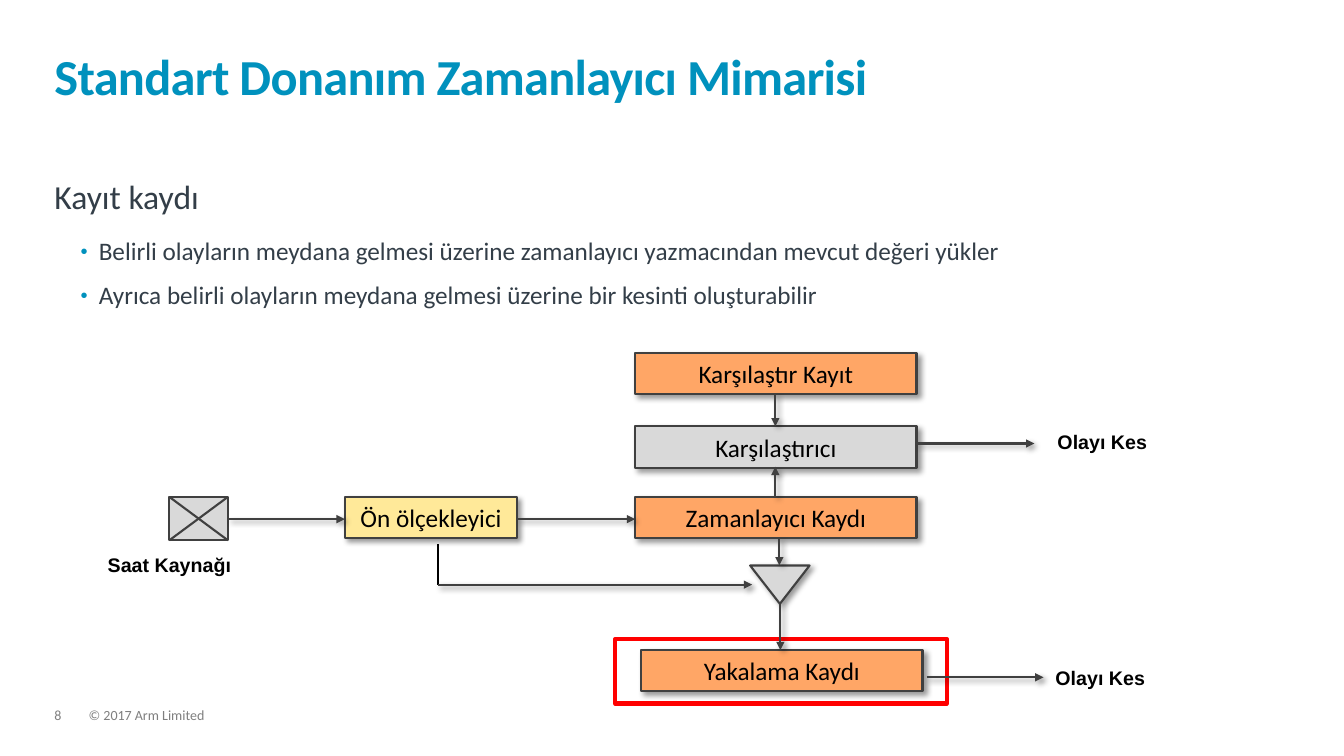
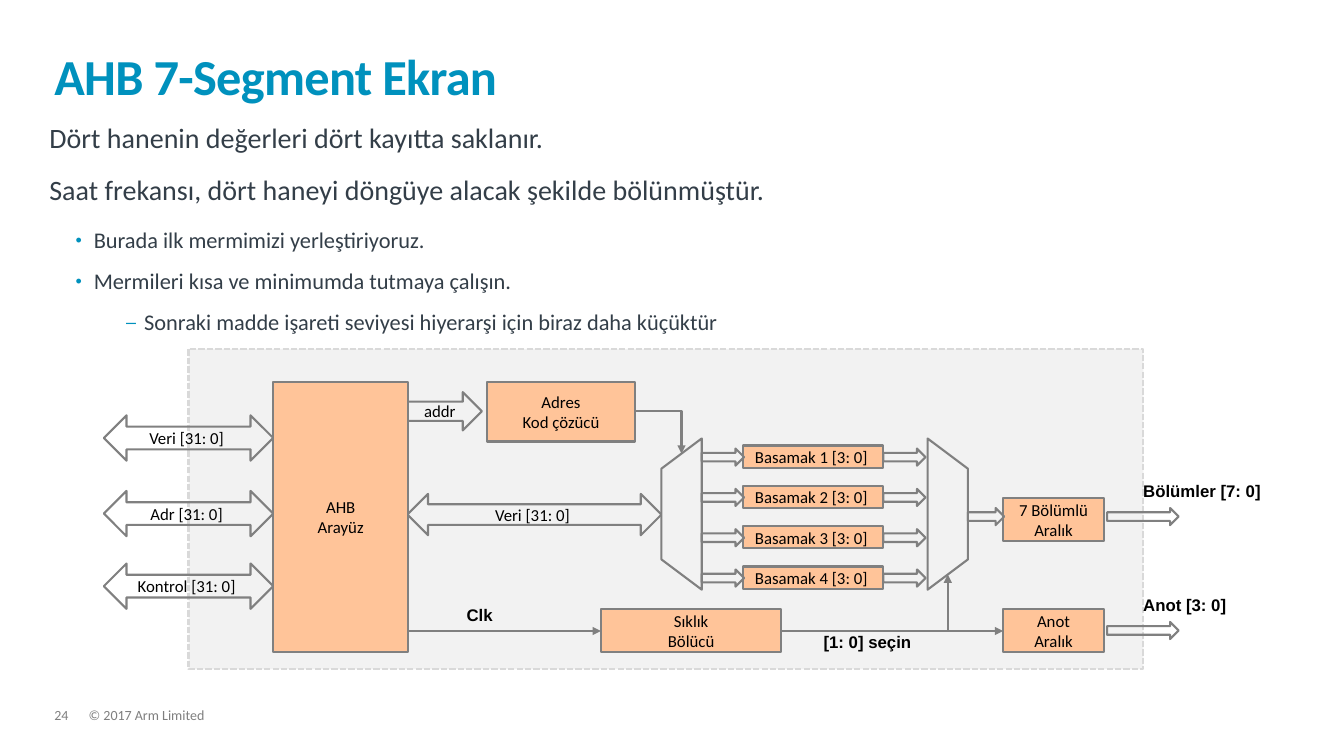
from lxml.etree import SubElement
from pptx import Presentation
from pptx.dml.color import RGBColor
from pptx.enum.dml import MSO_LINE
from pptx.enum.shapes import MSO_CONNECTOR, MSO_SHAPE
from pptx.enum.text import MSO_ANCHOR, PP_ALIGN
from pptx.oxml.ns import qn
from pptx.util import Inches, Pt

WIDTH, HEIGHT = 13.33, 7.5
LEFT, BODY_WIDTH = 0.54, 12.23
BLUE, SLATE, BLACK, FOOTER_GRAY = "0091BD", "333E48", "000000", "7F7F7F"
DARK, GRAY, SILVER, PALE = "404040", "808080", "D9D9D9", "F2F2F2"
ORANGE, YELLOW, PEACH, RED = "FFA666", "FFE999", "FFC499", "FF0000"
COPYRIGHT = "© 2017 Arm Limited"

# Body text: (level, size, text)
TIMER_BODY = [
    (0, 24, "Kayıt kaydı"),
    (1, 18, "Belirli olayların meydana gelmesi üzerine zamanlayıcı yazmacından mevcut değeri yükler"),
    (1, 18, "Ayrıca belirli olayların meydana gelmesi üzerine bir kesinti oluşturabilir"),
]
DISPLAY_BODY = [
    (0, 20, "Dört hanenin değerleri dört kayıtta saklanır."),
    (0, 20, "Saat frekansı, dört haneyi döngüye alacak şekilde bölünmüştür."),
    (1, 16, "Burada ilk mermimizi yerleştiriyoruz."),
    (1, 16, "Mermileri kısa ve minimumda tutmaya çalışın."),
    (2, 16, "Sonraki madde işareti seviyesi hiyerarşi için biraz daha küçüktür"),
]
LEVELS = {0: (None, 0, 16), 1: ("•", 0.44, 12), 2: ("–", 0.94, 12)}  # bullet, indent, space after

# Timer diagram
REGISTER_WIDTH, REGISTER_HEIGHT = 2.79, 0.41
TIMER_BLOCKS = [  # text, left, top, width, fill
    ("Karşılaştır Kayıt", 6.3, 3.5, REGISTER_WIDTH, ORANGE),
    ("Karşılaştırıcı", 6.3, 4.23, REGISTER_WIDTH, SILVER),
    ("Zamanlayıcı Kaydı", 6.3, 4.93, REGISTER_WIDTH, ORANGE),
    ("Ön ölçekleyici", 3.42, 4.93, 1.71, YELLOW),
    ("Yakalama Kaydı", 6.36, 6.45, REGISTER_WIDTH, ORANGE),
]
TIMER_ARROWS = [  # start, end
    ((2.26, 5.15), (3.42, 5.15)),
    ((5.13, 5.15), (6.3, 5.15)),
    ((7.69, 4.93), (7.69, 4.63)),
    ((7.69, 3.91), (7.69, 4.23)),
    ((9.09, 4.4), (10.26, 4.4)),
    ((7.73, 5.34), (7.73, 5.61)),
    ((7.74, 5.99), (7.74, 6.45)),
    ((9.19, 6.72), (10.35, 6.72)),
    ((4.34, 5.8), (7.46, 5.8)),
]
TIMER_LABELS = [  # text, left, top, width
    ("Olayı Kes", 10.39, 4.22, 2.26),
    ("Saat Kaynağı", 0.97, 5.44, 2),
    ("Olayı Kes", 10.37, 6.56, 2.26),
]

# Display diagram
BUS_ARROWS = [  # text, left, top, width, height
    ("Veri [31: 0] ", 1.03, 4.12, 1.68, 0.45),
    ("Adr [31: 0] ", 1.03, 4.87, 1.68, 0.45),
    ("Kontrol [31: 0] ", 1.03, 5.59, 1.68, 0.45),
    ("Veri [31: 0] ", 4.04, 4.9, 2.52, 0.41),
]
DISPLAY_BLOCKS = [  # text, left, top, width, height
    ("AHB\nArayüz", 2.71, 3.79, 1.34, 2.68),
    ("Adres\nKod çözücü", 4.83, 3.79, 1.47, 0.59),
    ("Sıklık\nBölücü", 5.96, 6.04, 1.79, 0.43),
    ("7 Bölümlü\nAralık", 9.95, 4.94, 1, 0.43),
    ("Anot\nAralık", 9.95, 6.04, 1, 0.43),
]
DIGITS, DIGIT_TOP, DIGIT_STEP = 4, 4.42, 0.4
THIN = 0.17
SIGNAL_ARROWS = [(9.6, 5.04, 0.36), (10.98, 5.04, 0.71), (10.98, 6.17, 0.71)]  # left, top, width
MULTIPLEXERS = [(6.01, 90), (8.65, 270)]  # left, rotation
DISPLAY_LABELS = [  # text, left, top, width
    ("Clk", 4.53, 5.95, 1.04),
    ("[1: 0] seçin", 8.07, 6.22, 1.5),
    ("Anot [3: 0]", 11.24, 5.85, 1.5),
    ("Bölümler [7: 0]", 11.24, 4.72, 1.8),
]


def color(value):
    return RGBColor.from_string(value)


def write(para, text, size=12, font="Calibri", ink=BLACK, bold=False, tracking=None,
          align=None, spacing=None, after=None):
    span = para.add_run()
    span.text = text
    span.font.size, span.font.name, span.font.bold = Pt(size), font, bold
    span.font.color.rgb = color(ink)
    if tracking is not None:
        span.font._element.set("spc", str(int(tracking * 100)))
    if align is not None:
        para.alignment = align
    if spacing is not None:
        para.line_spacing = spacing
    if after is not None:
        para.space_after = Pt(after)


def text_box(page, at, inset=True, anchor=MSO_ANCHOR.TOP):
    frame = page.shapes.add_textbox(*map(Inches, at)).text_frame
    frame.word_wrap, frame.vertical_anchor = True, anchor
    if not inset:
        frame.margin_left = frame.margin_right = frame.margin_top = frame.margin_bottom = 0
    return frame


def bullet(para, mark, indent):
    props = para._p.get_or_add_pPr()
    props.set("marL", str(Inches(indent)))
    props.set("indent", str(Inches(-0.18)))
    SubElement(SubElement(props, qn("a:buClr")), qn("a:srgbClr"), val=BLUE)
    SubElement(props, qn("a:buSzPct"), val="80000")
    SubElement(props, qn("a:buFont"), typeface="Arial")
    SubElement(props, qn("a:buChar"), char=mark)


def add_shadow(effects):
    outer = SubElement(effects, qn("a:outerShdw"), blurRad=str(Pt(4)), dist=str(Pt(3)),
                       dir=str(45 * 60000), algn="tl", rotWithShape="0")
    black = SubElement(outer, qn("a:srgbClr"), val=BLACK)
    SubElement(black, qn("a:alpha"), val="40000")


def add_block(page, at, kind=MSO_SHAPE.RECTANGLE, text="", size=12, fill=None, line=GRAY,
              weight=1.5, dash=None, shadow=False, rotation=0):
    block = page.shapes.add_shape(kind, *map(Inches, at))
    block.rotation = rotation
    if fill:
        block.fill.solid()
        block.fill.fore_color.rgb = color(fill)
    else:
        block.fill.background()
    block.line.color.rgb, block.line.width = color(line), Pt(weight)
    if dash:
        block.line.dash_style = dash
    block.shadow.inherit = False
    if shadow:
        add_shadow(block._element.spPr.find(qn("a:effectLst")))
    if text:
        frame = block.text_frame
        frame.word_wrap, frame.vertical_anchor = False, MSO_ANCHOR.MIDDLE
        for index, words in enumerate(text.split("\n")):
            para = frame.add_paragraph() if index else frame.paragraphs[0]
            write(para, words, size=size, align=PP_ALIGN.CENTER)


def add_line(page, start, end, ink=GRAY, arrow=True, shadow=False, bent=False):
    kind = MSO_CONNECTOR.ELBOW if bent else MSO_CONNECTOR.STRAIGHT
    line = page.shapes.add_connector(kind, *map(Inches, start + end))
    line.line.color.rgb, line.line.width = color(ink), Pt(1.5)
    props = line._element.spPr
    if bent:
        props.find(qn("a:prstGeom")).set("prst", "bentConnector2")
    if arrow:
        SubElement(props.find(qn("a:ln")), qn("a:tailEnd"), type="triangle")
    effects = SubElement(props, qn("a:effectLst"))
    if shadow:
        add_shadow(effects)


def add_labels(page, labels, size, height):
    for text, left, top, width in labels:
        frame = text_box(page, (left, top, width, height))
        write(frame.paragraphs[0], text, size=size, font="Arial", bold=True)


def add_page(deck, title, number, body, body_left, body_top):
    """Add a page with its title, body text and footer."""
    page = deck.slides.add_slide(deck.slide_layouts[6])
    for text, left, width in [(COPYRIGHT, 0.88, 9.13), (number, LEFT, 0.34)]:
        frame = text_box(page, (left, 7.03, width, 0.15), inset=False)
        write(frame.paragraphs[0], text, size=10, ink=FOOTER_GRAY, spacing=0.9, after=6)
    frame = text_box(page, (LEFT, 0.32, BODY_WIDTH, 0.73), inset=False, anchor=MSO_ANCHOR.BOTTOM)
    write(frame.paragraphs[0], title, size=36, ink=BLUE, bold=True, tracking=-0.5, spacing=0.85)
    frame = text_box(page, (body_left, body_top, BODY_WIDTH, 4.47), inset=False)
    for index, (level, size, text) in enumerate(body):
        para = frame.add_paragraph() if index else frame.paragraphs[0]
        mark, indent, after = LEVELS[level]
        if mark:
            para.level = level
            bullet(para, mark, indent)
        write(para, text, size=size, ink=SLATE, spacing=0.9, after=after)
    return page


def draw_timer(page):
    left, top, width, height = 1.68, 4.93, 0.58, 0.43
    right, bottom = left + width, top + height
    add_block(page, (left, top, width, height), fill=SILVER, line=DARK)
    add_line(page, (left, top), (right, bottom), ink=DARK, arrow=False)
    add_line(page, (right, top), (left, bottom), ink=DARK, arrow=False)
    add_block(page, (6.1, 6.34, 3.29, 0.64), line=RED, weight=3)
    for text, left, top, width, fill in TIMER_BLOCKS:
        add_block(page, (left, top, width, REGISTER_HEIGHT), text=text, size=18,
                  fill=fill, line=DARK, shadow=True)
    add_block(page, (7.44, 5.61, 0.59, 0.38), MSO_SHAPE.ISOSCELES_TRIANGLE,
              fill=SILVER, line=DARK, shadow=True, rotation=180)
    add_line(page, (4.34, 5.4), (4.34, 5.8), ink=BLACK, arrow=False)
    for start, end in TIMER_ARROWS:
        add_line(page, start, end, ink=DARK, shadow=True)
    add_labels(page, TIMER_LABELS, 14, 0.34)


def draw_display(page):
    add_block(page, (1.87, 3.46, 9.47, 3.18), fill=PALE, line=SILVER, dash=MSO_LINE.SQUARE_DOT)
    for text, *at in BUS_ARROWS:
        add_block(page, at, MSO_SHAPE.LEFT_RIGHT_ARROW, text)
    add_block(page, (4.04, 3.89, 0.74, 0.38), MSO_SHAPE.RIGHT_ARROW, "addr")
    for left, rotation in MULTIPLEXERS:
        add_block(page, (left, 4.9, 1.5, 0.4), MSO_SHAPE.FLOWCHART_MANUAL_OPERATION,
                  fill=PALE, rotation=rotation)
    for digit in range(DIGITS):
        top = DIGIT_TOP + digit * DIGIT_STEP
        add_block(page, (7.37, top, 1.39, 0.22), MSO_SHAPE.FLOWCHART_PROCESS,
                  f"Basamak {digit + 1} [3: 0] ", fill=PEACH)
        for left in (6.96, 8.76):
            add_block(page, (left, top + 0.03, 0.42, THIN), MSO_SHAPE.RIGHT_ARROW)
    add_line(page, (6.3, 4.08), (6.76, 4.5), bent=True)
    add_line(page, (7.75, 6.26), (9.4, 5.7), bent=True)
    add_line(page, (3.98, 6.26), (5.96, 6.26))
    add_line(page, (7.75, 6.26), (9.95, 6.26))
    for text, *at in DISPLAY_BLOCKS:
        add_block(page, at, MSO_SHAPE.FLOWCHART_PROCESS, text, fill=PEACH)
    for left, top, width in SIGNAL_ARROWS:
        add_block(page, (left, top, width, THIN), MSO_SHAPE.RIGHT_ARROW)
    add_labels(page, DISPLAY_LABELS, 12, 0.3)


def main():
    deck = Presentation()
    deck.slide_width, deck.slide_height = Inches(WIDTH), Inches(HEIGHT)
    draw_timer(add_page(deck, "Standart Donanım Zamanlayıcı Mimarisi", "8", TIMER_BODY, LEFT, 1.79))
    draw_display(add_page(deck, "AHB 7-Segment Ekran", "24", DISPLAY_BODY, 0.49, 1.23))
    deck.save("out.pptx")


if __name__ == "__main__":
    main()
